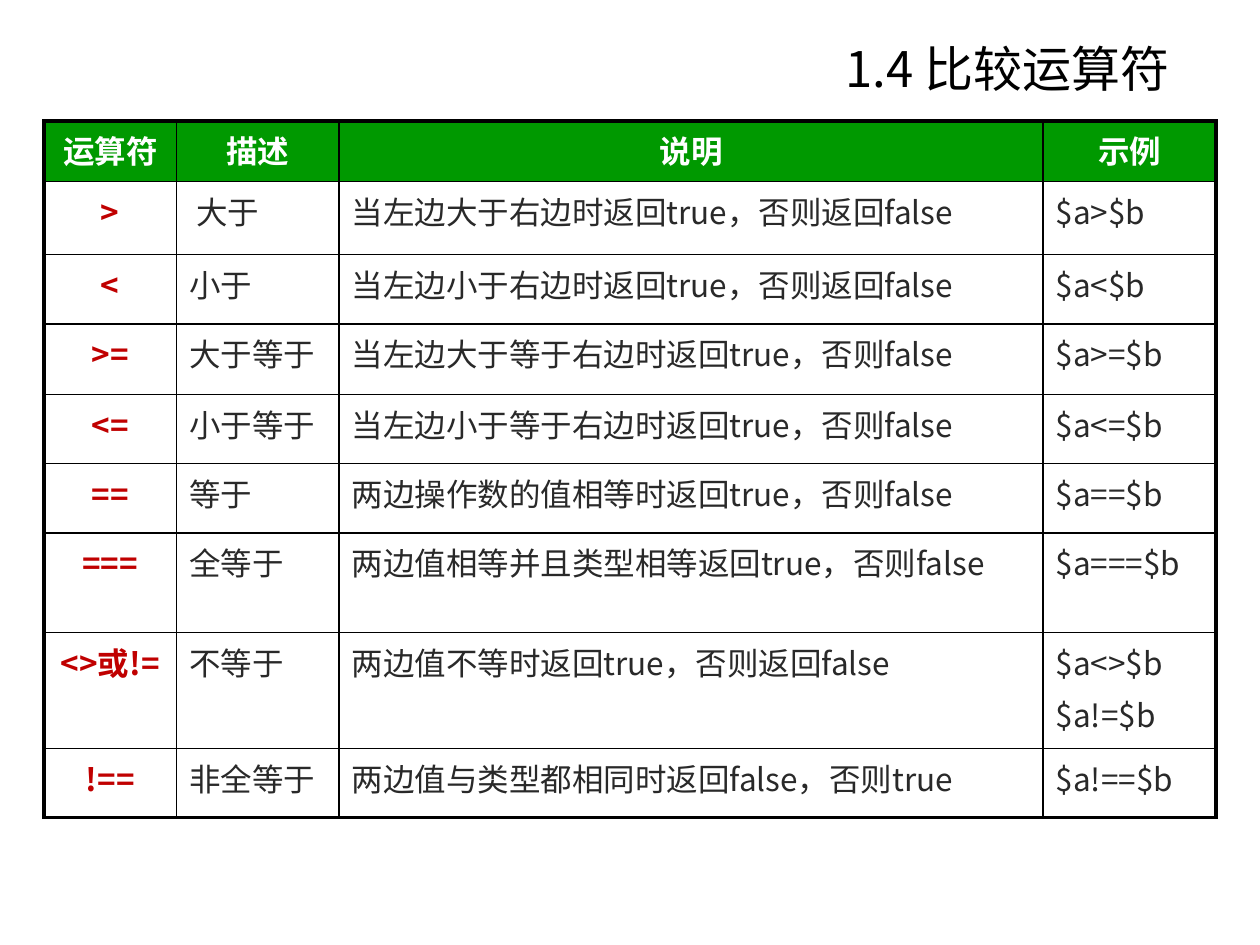
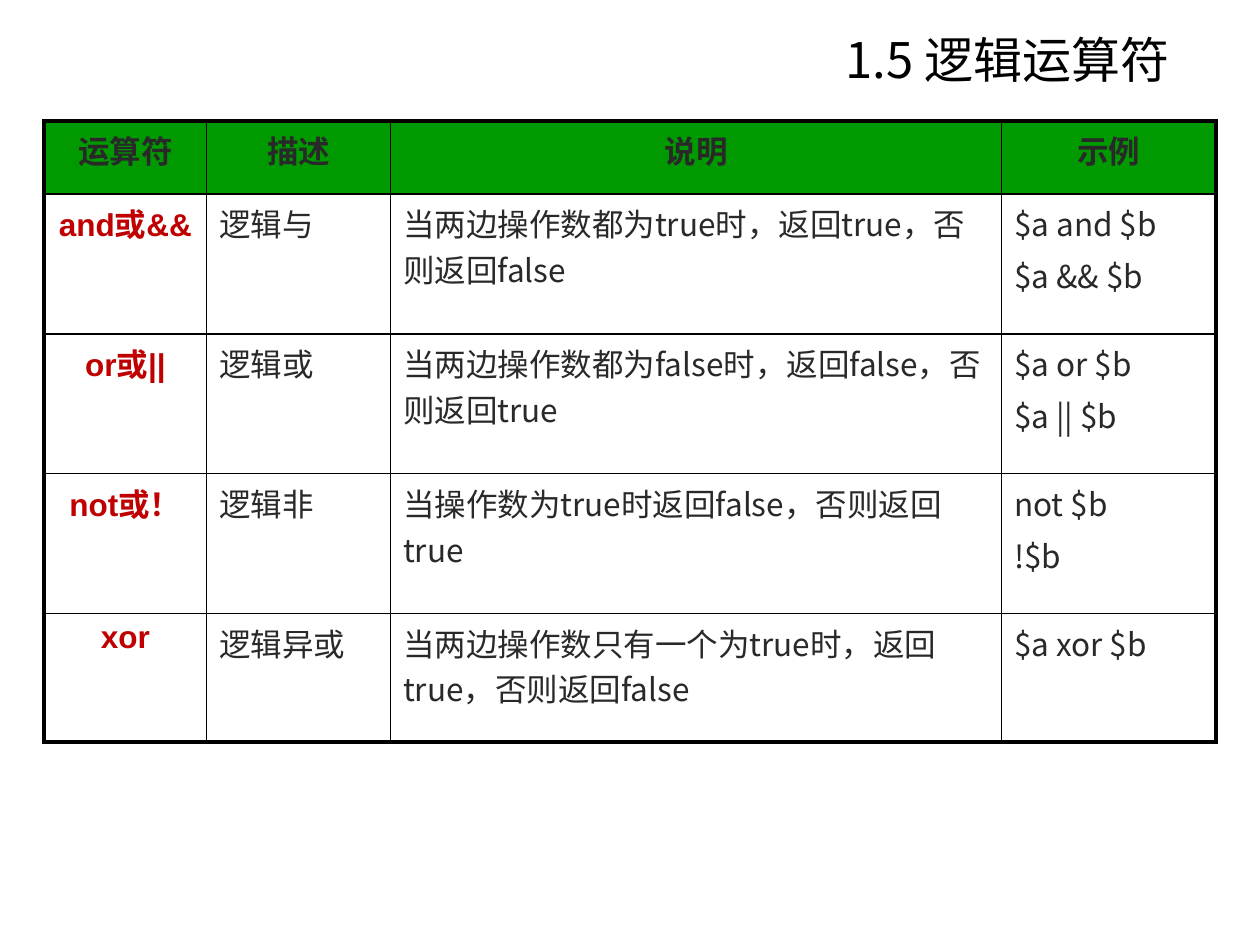
from lxml import etree
from pptx import Presentation
from pptx import util as u
from pptx.dml.color import RGBColor
from pptx.enum import text as t
from pptx.oxml.ns import qn

PX = 9144  # 100 px to the inch
SANS, LATIN = "Noto Sans CJK SC", "Arial"
BLACK, WHITE, GREEN, RED, GREY = "000000", "FFFFFF", "009900", "C00000", "292929"
THIN, THICK = 1, 2.25
LEFT, TOP, WIDTH = 35, 96, 930
HEADS = ["运算符", "描述", "说明", "示例"]

PAGES = [
    dict(
        title="1.4 比较运算符", top=23, head=WHITE, face=SANS,
        cols=[105, 129, 559, 137],
        rows=[48, 58, 55, 56, 55, 55, 79, 92, 55],
        body=[
            [">", " 大于", "当左边大于右边时返回true，否则返回false", "$a>$b"],
            ["<", "小于", "当左边小于右边时返回true，否则返回false", "$a<$b"],
            [">=", "大于等于", "当左边大于等于右边时返回true，否则false", "$a>=$b"],
            ["<=", "小于等于", "当左边小于等于右边时返回true，否则false", "$a<=$b"],
            ["==", "等于", "两边操作数的值相等时返回true，否则false", "$a==$b"],
            ["===", "全等于", "两边值相等并且类型相等返回true，否则false", "$a===$b"],
            ["<>或!=", "不等于", "两边值不等时返回true，否则返回false", "$a<>$b\n$a!=$b"],
            ["!==", "非全等于", "两边值与类型都相同时返回false，否则true", "$a!==$b"],
        ],
    ),
    dict(
        title="1.5 逻辑运算符", top=16, head=GREY, face=LATIN,
        cols=[129, 146, 485, 170],
        rows=[58, 111, 111, 111, 102],
        body=[
            ["and或&&", "逻辑与", "当两边操作数都为true时，返回true，否则返回false",
             "$a and $b\n$a && $b"],
            ["or或||", "逻辑或", "当两边操作数都为false时，返回false，否则返回true",
             "$a or $b\n$a || $b"],
            ["not或！", "逻辑非", "当操作数为true时返回false，否则返回true",
             "not $b\n!$b"],
            ["xor", "逻辑异或", "当两边操作数只有一个为true时，返回true，否则返回false",
             "$a xor $b"],
        ],
    ),
]


def write(frame, words, hue, align, gap=0, **form):
    """Fill a text frame, one paragraph a line, in one format."""
    frame.text = words
    for para in frame.paragraphs:
        para.alignment = align
        para.space_before = u.Pt(gap)
        for run in para.runs:
            run.font.color.rgb = RGBColor.from_string(hue)
            for key, val in form.items():
                setattr(run.font, key, val)
            props = run.font._element
            props.set("lang", "zh-CN")
            etree.SubElement(props, qn("a:ea"), typeface=SANS)


def edge(cell, side, width):
    """Draw one border of a cell; side is L, R, T or B."""
    line = etree.SubElement(cell._tc.get_or_add_tcPr(), qn("a:ln" + side),
                            w=str(u.Pt(width)))
    fill = etree.SubElement(line, qn("a:solidFill"))
    etree.SubElement(fill, qn("a:srgbClr"), val=BLACK)


deck = Presentation()
deck.slide_width, deck.slide_height = 1000 * PX, 750 * PX

for page in PAGES:
    slide = deck.slides.add_slide(deck.slide_layouts[5])
    title = slide.shapes.title
    spot = dict(left=227, top=page["top"], width=711, height=62)
    for key, val in spot.items():
        setattr(title, key, val * PX)
    title.text_frame.vertical_anchor = t.MSO_ANCHOR.MIDDLE
    write(title.text_frame, page["title"], BLACK, t.PP_ALIGN.RIGHT,
          name=SANS, size=u.Pt(28))

    cols, rows = page["cols"], page["rows"]
    grid = slide.shapes.add_table(
        len(rows), len(cols), LEFT * PX, TOP * PX, WIDTH * PX, sum(rows) * PX).table
    grid.horz_banding = False
    for col, size in zip(grid.columns, cols):
        col.width = size * PX
    for row, size in zip(grid.rows, rows):
        row.height = size * PX

    for r, line in enumerate([HEADS] + page["body"]):
        for c, words in enumerate(line):
            cell = grid.cell(r, c)
            outer = dict(L=c == 0, R=c == len(cols) - 1,
                         T=r == 0, B=r == len(rows) - 1)
            for side, rim in outer.items():
                edge(cell, side, THICK if rim else THIN)
            if r == 0:
                cell.fill.solid()
                cell.fill.fore_color.rgb = RGBColor.from_string(GREEN)
            else:
                cell.fill.background()
            bold = r == 0 or c == 0
            hue = page["head"] if r == 0 else RED if c == 0 else GREY
            write(cell.text_frame, words, hue,
                  t.PP_ALIGN.CENTER if bold else t.PP_ALIGN.LEFT, gap=3.6,
                  name=page["face"] if r and c == 0 else SANS,
                  size=u.Pt(18), bold=bold)

deck.save("out.pptx")
